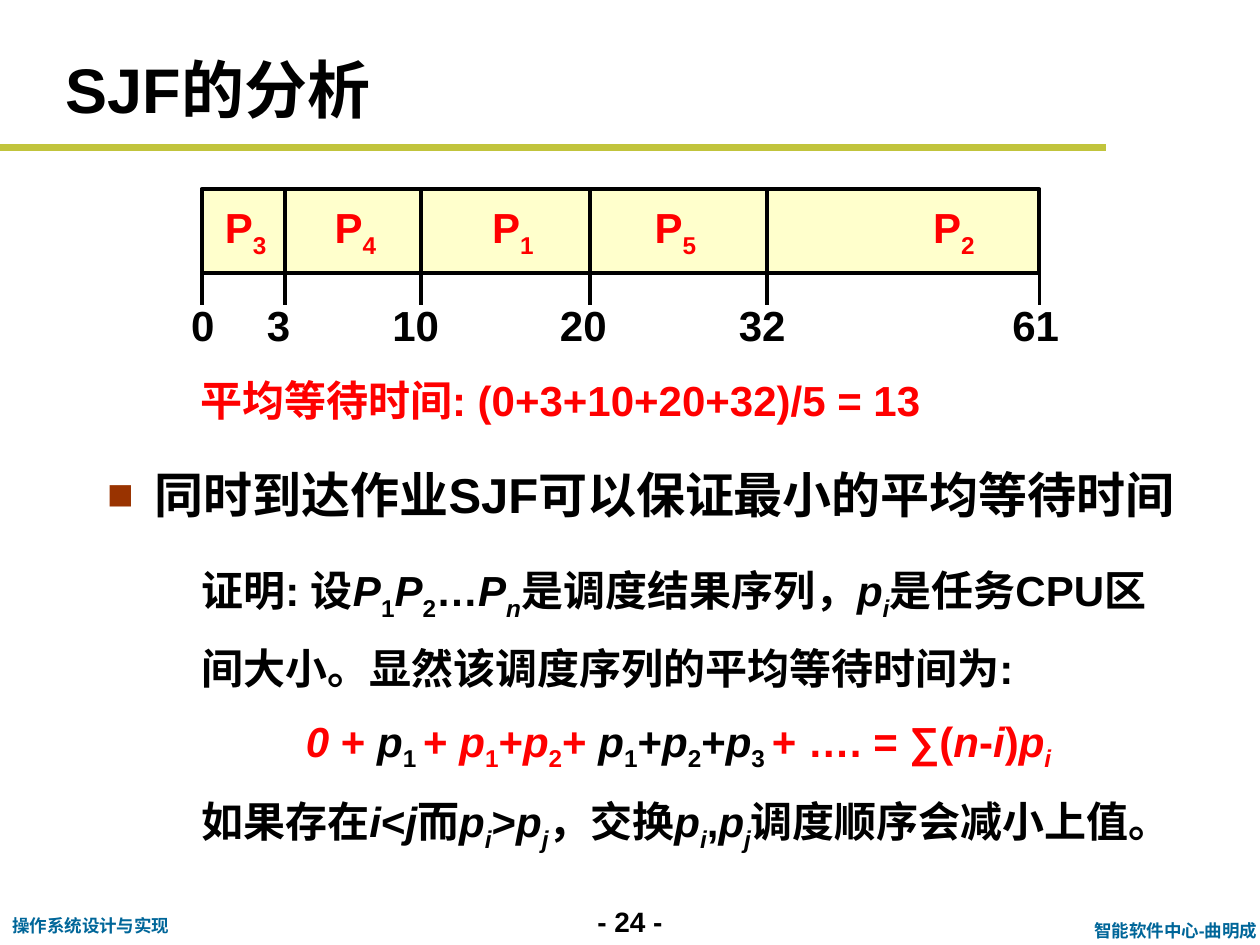
import pptx
import pptx.util
import pptx.dml.color
import pptx.enum.shapes
import pptx.enum.text
import pptx.oxml.ns
from lxml import etree

Inches, Pt = pptx.util.Inches, pptx.util.Pt
ALIGN = pptx.enum.text.PP_ALIGN
ANCHOR = pptx.enum.text.MSO_ANCHOR
qn = pptx.oxml.ns.qn

COLORS = {"text": "000000", "red": "FF0000", "rule": "C1C43C", "footer": "006699",
          "bullet": "993300", "bar": "FFFFCC"}

TITLE = "SJF的分析"
CLAIM = "同时到达作业SJF可以保证最小的平均等待时间"
AVERAGE = "平均等待时间: (0+3+10+20+32)/5 = 13"

#_PLACEHOLDER = None
TIMES = [("0", 1.6, 1.61), ("3", 2.26, 2.21), ("10", 3.34, 3.3),
         ("20", 4.68, 4.63), ("32", 6.09, 6.05), ("61", 8.25, 8.22)]
PROCESSES = [("3", 1.95), ("4", 2.82), ("1", 4.07), ("5", 5.36), ("2", 7.57)]
FOOTERS = [("- 24 -", 4.5, 7.13, 1, 0.37, 16, "text", ALIGN.CENTER, True),
           ("智能软件中心-曲明成", 8.54, 7.25, 1.58, 0.27, 10, "footer", ALIGN.CENTER, True),
           ("操作系统设计与实现", 0, 7.21, 1.46, 0.27, 10, "footer", ALIGN.LEFT, False)]

PROOF = [
    (0.5, [("证明: 设", ""), ("P", "i"), ("1", "s"), ("P", "i"), ("2", "s"), ("…", ""),
           ("P", "i"), ("n", "is"), ("是调度结果序列，", ""), ("p", "i"), ("i", "is"),
           ("是任务CPU区间大小。显然该调度序列的平均等待时间为:", "")]),
    (1.33, [("0 ", "ir"), ("+ ", "r"), ("p", "i"), ("1 ", "s"), ("+ ", "r"), ("p", "ir"),
            ("1", "sr"), ("+", "r"), ("p", "ir"), ("2", "sr"), ("+ ", "r"), ("p", "i"),
            ("1", "s"), ("+", ""), ("p", "i"), ("2", "s"), ("+", ""), ("p", "i"),
            ("3 ", "s"), ("+ …. = ∑(", "r"), ("n", "ir"), ("-", "r"), ("i", "ir"),
            (")", "r"), ("p", "ir"), ("i", "isr")]),
    (0.5, [("如果存在", ""), ("i", "i"), ("<", ""), ("j", "i"), ("而", ""), ("p", "i"),
           ("i", "is"), (">", ""), ("p", "i"), ("j", "is"), ("，交换", ""), ("p", "i"),
           ("i", "is"), (",", ""), ("p", "i"), ("j", "is"), ("调度顺序会减小上值。", "")]),
]

BAR_TOP, BAR_BOTTOM, TICK_BOTTOM = 1.5, 2.17, 2.42


def rgb(name):
    return pptx.dml.color.RGBColor.from_string(COLORS[name])


def add_run(p, text, size, color="text", flags=""):
    r = p.add_run()
    r.text = text
    r.font.name, r.font.size, r.font.bold = "Arial", Pt(size), True
    r.font.italic = "i" in flags
    r.font.color.rgb = rgb("red" if "r" in flags else color)
    if "s" in flags:
        r._r.get_or_add_rPr().set("baseline", "-25000")


def add_box(s, x, y, w, h, wrap=True, anchor=ANCHOR.TOP):
    tf = s.shapes.add_textbox(Inches(x), Inches(y), Inches(w), Inches(h)).text_frame
    tf.word_wrap, tf.vertical_anchor = wrap, anchor
    return tf


def add_label(s, center, y, w, runs):
    tf = add_box(s, center - w / 2, y, w, 0.5, False, ANCHOR.MIDDLE)
    p = tf.paragraphs[0]
    p.alignment = ALIGN.CENTER
    for text, flags in runs:
        add_run(p, text, 24, flags=flags)


def add_line(s, x1, y1, x2, y2, color="text", width=2.25):
    line = s.shapes.add_connector(pptx.enum.shapes.MSO_CONNECTOR.STRAIGHT,
                                  Inches(x1), Inches(y1), Inches(x2), Inches(y2))
    line.line.color.rgb, line.line.width = rgb(color), Pt(width)
    etree.SubElement(line._element.spPr, qn("a:effectLst"))


def indent(p, left, first=0):
    pPr = p._p.get_or_add_pPr()
    pPr.set("marL", str(Inches(left)))
    pPr.set("indent", str(Inches(first)))
    return pPr


def add_bullet(p):
    pPr = indent(p, 0.38, -0.38)
    color = etree.SubElement(pPr, qn("a:buClr"))
    etree.SubElement(color, qn("a:srgbClr"), val=COLORS["bullet"])
    etree.SubElement(pPr, qn("a:buSzPct"), val="90000")
    etree.SubElement(pPr, qn("a:buFont"), typeface="Arial")
    etree.SubElement(pPr, qn("a:buChar"), char="■")


def fill_placeholder(sp, box, anchor):
    sp.left, sp.top, sp.width, sp.height = map(Inches, box)
    tf = sp.text_frame
    tf.auto_size = pptx.enum.text.MSO_AUTO_SIZE.NONE
    tf.word_wrap, tf.vertical_anchor = True, anchor
    p = tf.paragraphs[0]
    p.alignment, p.space_before = ALIGN.LEFT, Pt(0)
    return p


def add_timeline(s):
    left, right = TIMES[0][1], TIMES[-1][1]
    bar = s.shapes.add_shape(pptx.enum.shapes.MSO_SHAPE.RECTANGLE, Inches(left), Inches(BAR_TOP),
                             Inches(right - left), Inches(BAR_BOTTOM - BAR_TOP))
    bar.shadow.inherit = False
    bar.fill.solid()
    bar.fill.fore_color.rgb = rgb("bar")
    bar.line.color.rgb, bar.line.width = rgb("text"), Pt(2.25)
    for _, x, _ in TIMES[1:-1]:
        add_line(s, x, BAR_TOP, x, BAR_BOTTOM)
    for time, x, center in TIMES:
        add_line(s, x, BAR_BOTTOM, x, TICK_BOTTOM)
        add_label(s, center, 2.33, 0.39 if len(time) == 1 else 0.57, [(time, "")])
    for number, center in PROCESSES:
        add_label(s, center, 1.58, 0.55, [("P", "r"), (number, "sr")])


def main():
    prs = pptx.Presentation()
    prs.slide_width, prs.slide_height = Inches(10), Inches(7.5)
    s = prs.slides.add_slide(prs.slide_layouts[1])

    for text, x, y, w, h, size, color, align, wrap in FOOTERS:
        p = add_box(s, x, y, w, h, wrap).paragraphs[0]
        p.alignment = align
        add_run(p, text, size, color)
    add_line(s, 0, 1.17, 8.78, 1.17, "rule", 4)

    p = fill_placeholder(s.shapes.title, (0.42, 0.33, 9.58, 0.74), ANCHOR.MIDDLE)
    add_run(p, TITLE, 36)
    p = fill_placeholder(s.placeholders[1], (0.75, 3.5, 9, 0.95), ANCHOR.TOP)
    p.line_spacing = 1.3
    add_bullet(p)
    add_run(p, CLAIM, 28)

    add_timeline(s)

    p = add_box(s, 0.99, 2.76, 6.84, 0.66).paragraphs[0]
    indent(p, 0.5)
    p.line_spacing = 1.4
    add_run(p, AVERAGE, 24, "red")

    tf = add_box(s, 1, 4.25, 8.5, 2.36)
    for i, (left, runs) in enumerate(PROOF):
        p = tf.add_paragraph() if i else tf.paragraphs[0]
        indent(p, left)
        p.line_spacing = 1.4
        for text, flags in runs:
            add_run(p, text, 24, flags=flags)

    prs.save("out.pptx")


if __name__ == "__main__":
    main()
